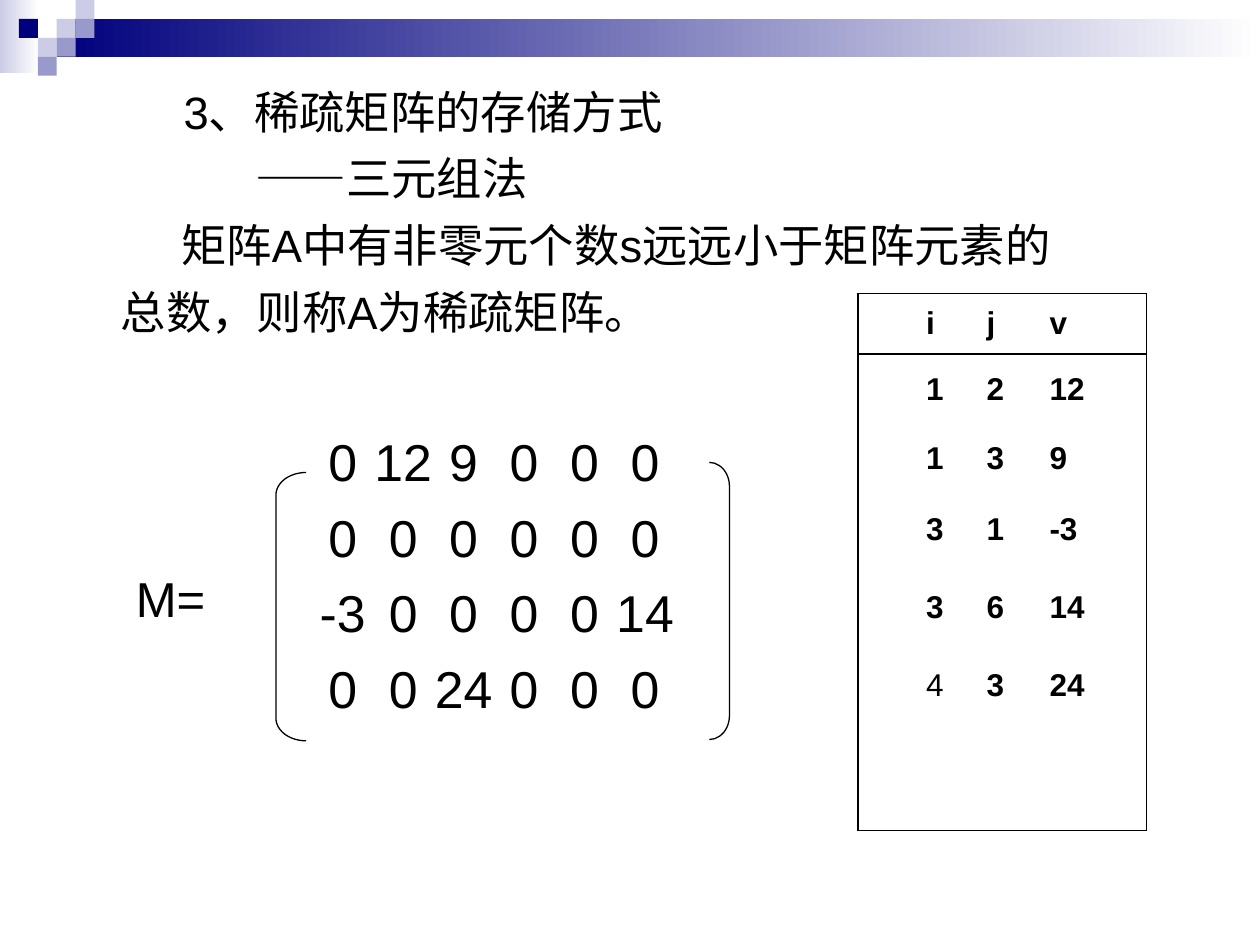
from lxml import etree
from pptx import Presentation
from pptx.dml.color import RGBColor
from pptx.enum.shapes import MSO_SHAPE
from pptx.enum.text import MSO_ANCHOR, PP_ALIGN
from pptx.oxml.ns import qn
from pptx.util import Inches, Pt

NAVY = RGBColor(0x00, 0x00, 0x7D)
LILAC = RGBColor(0xCC, 0xCC, 0xE6)
VIOLET = RGBColor(0x99, 0x99, 0xCC)
WHITE = RGBColor(0xFF, 0xFF, 0xFF)
BLACK = RGBColor(0x00, 0x00, 0x00)


def add_text(paragraph, text, size, bold=False):
    run = paragraph.add_run()
    run.text = text
    run.font.name = "Arial"
    run.font.size = Pt(size)
    run.font.bold = bold
    run.font.color.rgb = BLACK


def add_block(kind, left, top, width, height):
    block = slide.shapes.add_shape(
        kind, Inches(left), Inches(top), Inches(width), Inches(height))
    block.shadow.inherit = False
    return block


prs = Presentation()
prs.slide_width, prs.slide_height = Inches(10), Inches(7.5)
slide = prs.slides.add_slide(prs.slide_layouts[6])

# Header band and its mosaic of squares
for left, top, width, height, start in [(0, 0, 0.31, 0.58, LILAC),
                                        (0.45, 0.15, 9.55, 0.3, NAVY)]:
    band = add_block(MSO_SHAPE.RECTANGLE, left, top, width, height)
    band.fill.gradient()
    band.fill.gradient_angle = 0
    for stop, color in zip(band.fill.gradient_stops, (start, WHITE)):
        stop.color.rgb = color
    band.line.fill.background()

TILE = 0.15
for column, row, color in [(3, 1, LILAC), (4, 0, LILAC), (4, 1, VIOLET), (2, 2, LILAC),
                           (1, 1, NAVY), (3, 2, VIOLET), (2, 3, VIOLET)]:
    tile = add_block(MSO_SHAPE.RECTANGLE, column * TILE, row * TILE, TILE, TILE)
    tile.fill.solid()
    tile.fill.fore_color.rgb = color
    tile.line.fill.background()

# Explanation
body = slide.shapes.add_textbox(Inches(0.86), Inches(0.62), Inches(8.33), Inches(2.2)).text_frame
body.word_wrap = True
explanation = [
    ("3、稀疏矩阵的存储方式", 0.5),
    ("——三元组法", 1.07),
    ("矩阵A中有非零元个数s远远小于矩阵元素的", 0.48),
    ("总数，则称A为稀疏矩阵。", 0),
]
for number, (text, indent) in enumerate(explanation):
    paragraph = body.add_paragraph() if number else body.paragraphs[0]
    paragraph._p.get_or_add_pPr().set("indent", str(Inches(indent)))
    paragraph.line_spacing = Pt(31)
    paragraph.space_before = Pt(7 if number else 0)
    add_text(paragraph, text, 25.9)

# Matrix entries between brackets
matrix = [
    ["0", "12", "9", "0", "0", "0"],
    ["0", "0", "0", "0", "0", "0"],
    ["-3", "0", "0", "0", "0", "14"],
    ["0", "0", "24", "0", "0", "0"],
]
ENTRY_WIDTH, ENTRY_HEIGHT = 0.48, 0.6
matrix_table = slide.shapes.add_table(
    len(matrix), len(matrix[0]), Inches(2.48), Inches(3.38),
    Inches(ENTRY_WIDTH * len(matrix[0])), Inches(ENTRY_HEIGHT * len(matrix))).table
matrix_table.first_row = matrix_table.horz_banding = False
for row, entries in enumerate(matrix):
    for column, entry in enumerate(entries):
        cell = matrix_table.cell(row, column)
        cell.margin_left = cell.margin_right = cell.margin_top = cell.margin_bottom = 0
        cell.vertical_anchor = MSO_ANCHOR.MIDDLE
        paragraph = cell.text_frame.paragraphs[0]
        paragraph.alignment = PP_ALIGN.CENTER
        add_text(paragraph, entry, 29.6)
        for side in ("a:lnL", "a:lnR", "a:lnT", "a:lnB"):
            border = etree.SubElement(cell._tc.get_or_add_tcPr(), qn(side))
            etree.SubElement(border, qn("a:noFill"))
        cell.fill.background()

for kind, left, top, width, height, curve in [
        (MSO_SHAPE.LEFT_BRACKET, 2.19, 3.75, 0.24, 2.13, 0.75),
        (MSO_SHAPE.RIGHT_BRACKET, 5.63, 3.67, 0.16, 2.2, 1.19)]:
    bracket = add_block(kind, left, top, width, height)
    bracket.adjustments[0] = curve
    bracket.fill.background()
    bracket.line.color.rgb = BLACK
    bracket.line.width = Pt(0.75)

matrix_name = slide.shapes.add_textbox(
    Inches(0.98), Inches(4.46), Inches(0.83), Inches(0.57)).text_frame
matrix_name.word_wrap = True
matrix_name.vertical_anchor = MSO_ANCHOR.MIDDLE
add_text(matrix_name.paragraphs[0], "M=", 28)

# Triples of row, column and value
triples = [("i", "j", "v"), ("1", "2", "12"), ("1", "3", "9"),
           ("3", "1", "-3"), ("3", "6", "14"), ("4", "3", "24")]
row_heights = [0.48, 0.56, 0.54, 0.58, 0.66, 1.44]
column_widths = [0.94, 0.5, 0.85]
left_margins = [0.54, 0.08, 0.08]
last_row, last_column = len(triples) - 1, len(column_widths) - 1

triple_table = slide.shapes.add_table(
    len(triples), len(column_widths), Inches(6.81), Inches(2.33),
    Inches(sum(column_widths)), Inches(sum(row_heights))).table
triple_table.first_row = triple_table.horz_banding = False
for column, width in enumerate(column_widths):
    triple_table.columns[column].width = Inches(width)
for row, (triple, height) in enumerate(zip(triples, row_heights)):
    triple_table.rows[row].height = Inches(height)
    for column, value in enumerate(triple):
        cell = triple_table.cell(row, column)
        cell.margin_left, cell.margin_right = Inches(left_margins[column]), 0
        cell.vertical_anchor = MSO_ANCHOR.MIDDLE
        if row == last_row:
            cell.vertical_anchor = MSO_ANCHOR.TOP
            cell.margin_top = Inches(0.15)
        add_text(cell.text_frame.paragraphs[0], value, 18, bold=value != "4")
        borders = [("a:lnL", column == 0), ("a:lnR", column == last_column),
                   ("a:lnT", row <= 1), ("a:lnB", row in (0, last_row))]
        for side, visible in borders:
            border = etree.SubElement(cell._tc.get_or_add_tcPr(), qn(side), w=str(Pt(0.75)))
            if visible:
                paint = etree.SubElement(border, qn("a:solidFill"))
                etree.SubElement(paint, qn("a:srgbClr"), val=str(BLACK))
            else:
                etree.SubElement(border, qn("a:noFill"))
        cell.fill.background()

prs.save("out.pptx")
